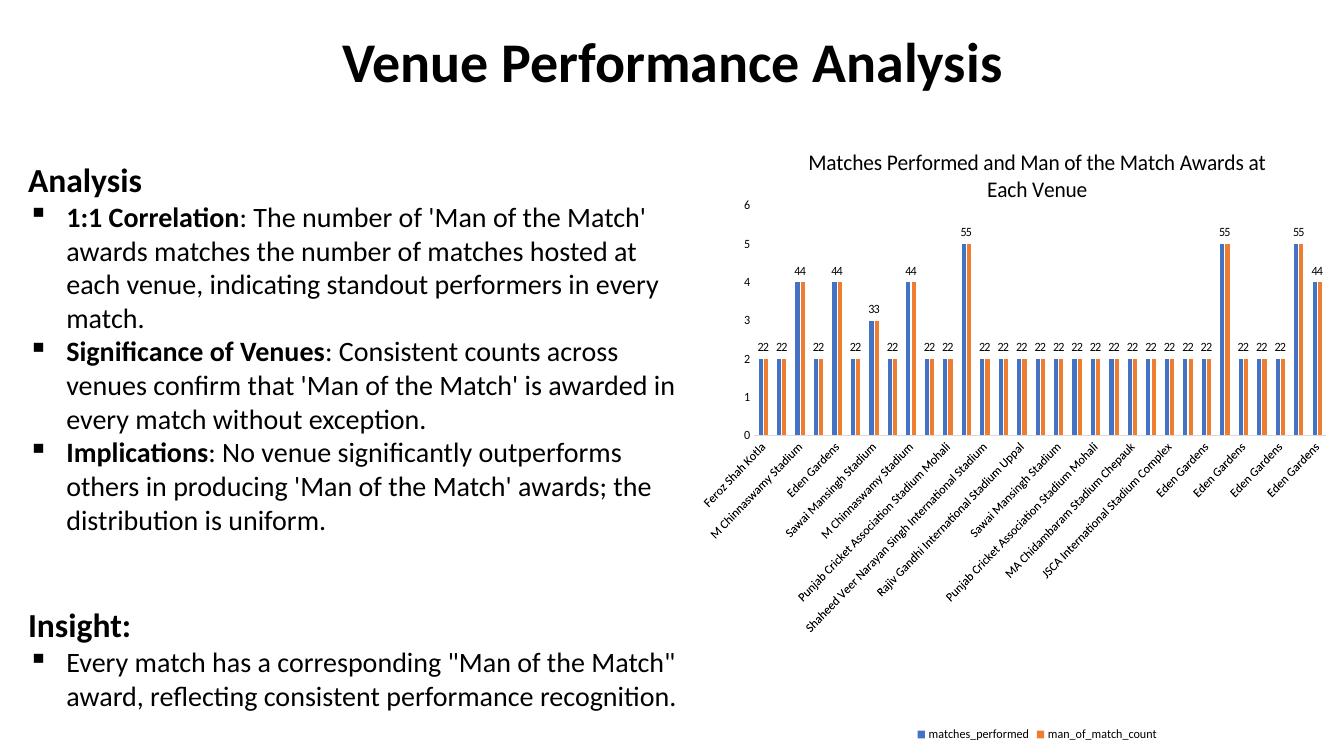
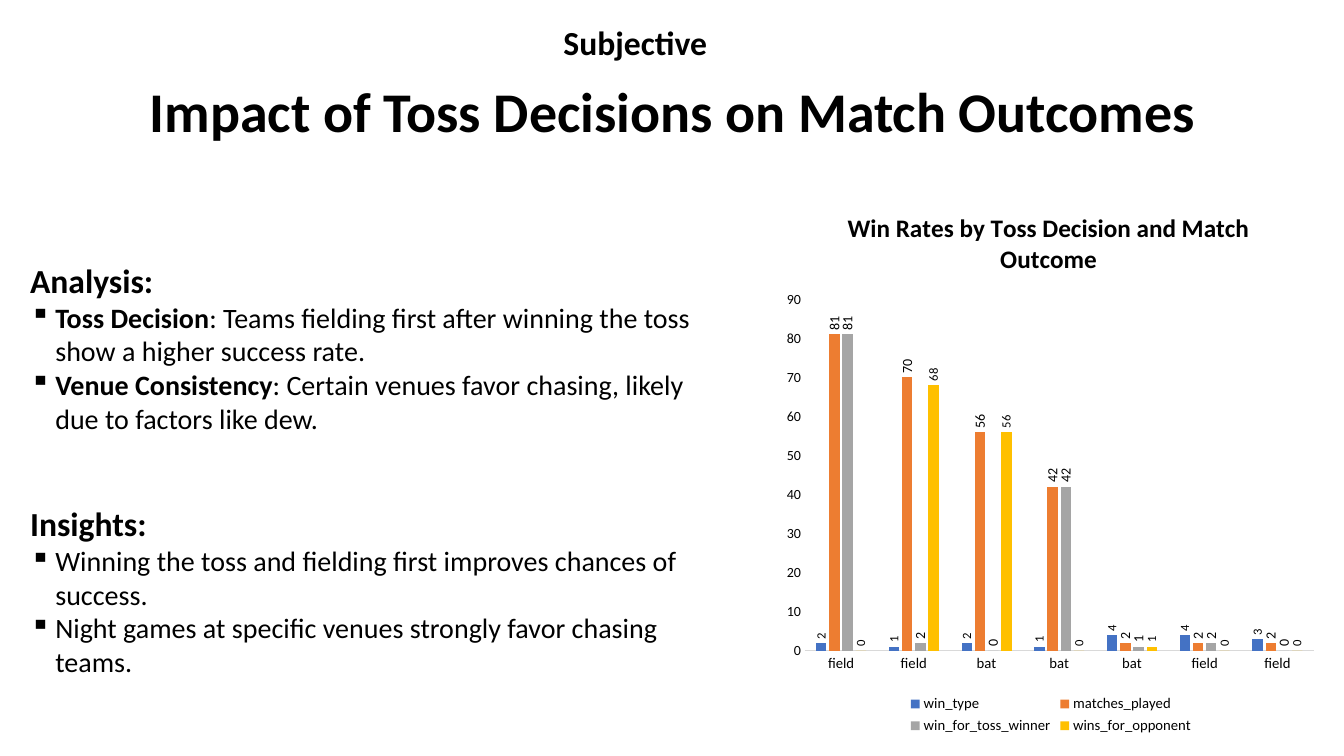
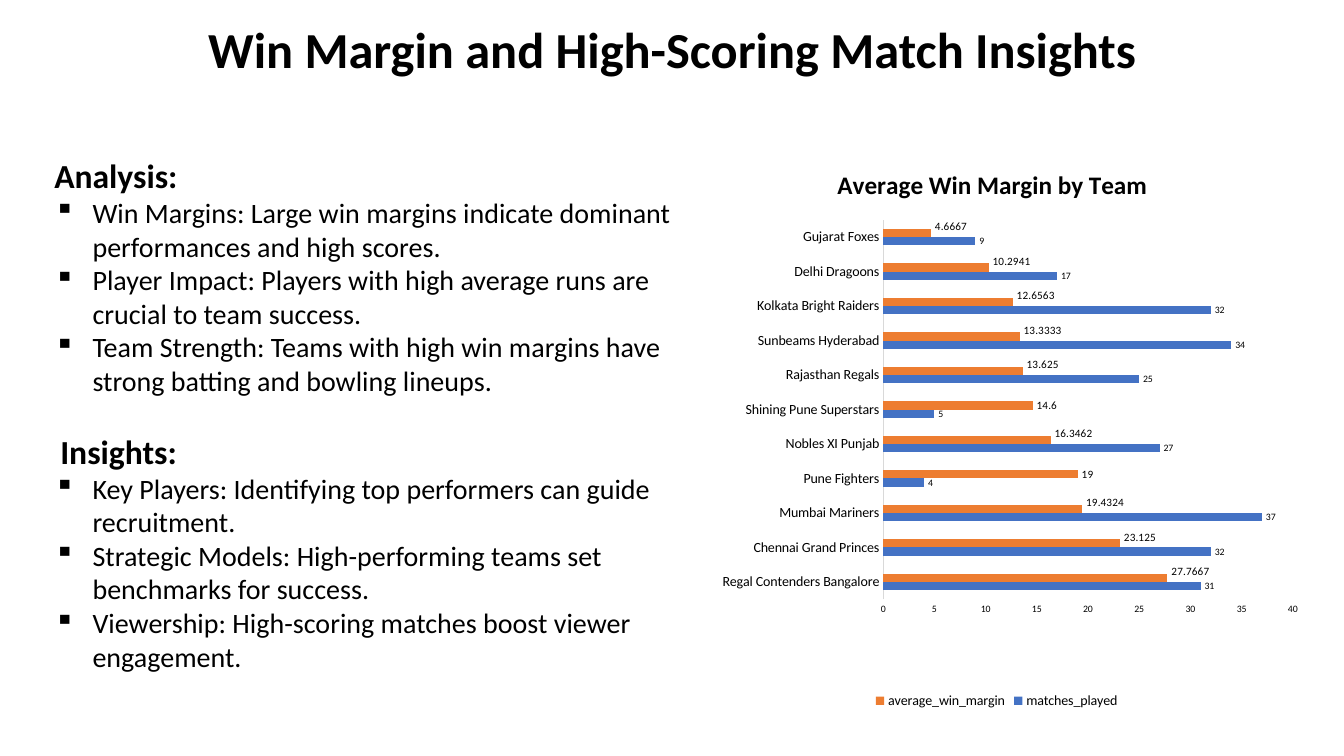
"""Build three cricket analysis slides, each with text on the left and a chart on the right."""
import pptx
import pptx.chart.data
import pptx.dml.color
import pptx.enum.chart
import pptx.enum.text
import pptx.oxml
import pptx.oxml.ns
import pptx.util

Inches, Pt = pptx.util.Inches, pptx.util.Pt
RGB = pptx.dml.color.RGBColor.from_string
Kind = pptx.enum.chart.XL_CHART_TYPE
End = pptx.enum.chart.XL_LABEL_POSITION.OUTSIDE_END
Tick = pptx.enum.chart.XL_TICK_MARK.NONE
Align, Anchor = pptx.enum.text.PP_ALIGN, pptx.enum.text.MSO_ANCHOR

theme = {
    "font": "Calibri", "ink": "000000", "rule": "D9D9D9",
    "blue": "4472C4", "orange": "ED7D31", "gray": "A5A5A5", "gold": "FFC000",
    "head": 24, "body": 20, "chart": 10,
}

venues = {
    "feroz": "Feroz Shah Kotla", "rajiv": "Rajiv Gandhi International Stadium Uppal",
    "chinna": "M Chinnaswamy Stadium", "maha": "Maharashtra Cricket Association Stadium",
    "eden": "Eden Gardens", "motera": "Sardar Patel Stadium Motera",
    "sawai": "Sawai Mansingh Stadium", "chepauk": "MA Chidambaram Stadium Chepauk",
    "wank": "Wankhede Stadium", "mohali": "Punjab Cricket Association Stadium Mohali",
    "veer": "Shaheed Veer Narayan Singh International Stadium",
    "sharjah": "Sharjah Cricket Stadium", "jsca": "JSCA International Stadium Complex",
}
order = (
    "feroz rajiv chinna maha eden motera sawai chepauk chinna wank mohali rajiv veer wank rajiv "
    "sharjah sawai wank mohali feroz chepauk chepauk jsca chepauk eden wank eden chepauk eden "
    "chinna eden"
).split()
counts = [2, 2, 4, 2, 4, 2, 3, 2, 4, 2, 2, 5] + [2] * 13 + [5, 2, 2, 2, 5, 4]

pages = [
    {
        "title": ("Venue Performance Analysis", 40, (0.92, 0.2, 11.5, 0.88)),
        "text": (0.18, 1.53, 6.67, 5.62), "indent": 0.38, "gap": 49,
        "blocks": [
            ("Analysis", 0, [
                ("1:1 Correlation", ": The number of 'Man of the Match' awards matches the number of "
                 "matches hosted at each venue, indicating standout performers in every match."),
                ("Significance of Venues", ": Consistent counts across venues confirm that 'Man of "
                 "the Match' is awarded in every match without exception."),
                ("Implications", ": No venue significantly outperforms others in producing 'Man of "
                 "the Match' awards; the distribution is uniform."),
            ]),
            ("Insight:", 0, [
                ("", "Every match has a corresponding \"Man of the Match\" award, reflecting "
                 "consistent performance recognition."),
            ]),
        ],
        "chart": {
            "kind": Kind.COLUMN_CLUSTERED, "at": (6.95, 1.24, 6.39, 6.16),
            "title": ("Matches Performed and Man of the Match Awards at Each Venue", 16, False),
            "plot": (0.04, 0.13, 0.93, 0.37), "spot": None,
            "sizes": (9, 9, 9), "scale": (6, 1), "lap": -27, "turn": (-45, 0),
            "cats": [venues[key] for key in order],
            "series": [
                ("matches_performed", "blue", 9, counts),
                ("man_of_match_count", "orange", 9, counts),
            ],
        },
    },
    {
        "title": ("Impact of Toss Decisions on Match Outcomes", 40, (0.92, 0.69, 11.5, 0.88)),
        "label": ("Subjective", 24, (3.89, 0.17, 4.82, 0.5)),
        "text": (0.2, 2.53, 7.12, 4.3), "indent": 0.25, "gap": 49,
        "blocks": [
            ("Analysis:", 0, [
                ("Toss Decision", ": Teams fielding first after winning the toss show a higher "
                 "success rate."),
                ("Venue Consistency", ": Certain venues favor chasing, likely due to factors like "
                 "dew."),
            ]),
            ("Insights:", 0, [
                ("", "Winning the toss and fielding first improves chances of success."),
                ("", "Night games at specific venues strongly favor chasing teams."),
            ]),
        ],
        "chart": {
            "kind": Kind.COLUMN_CLUSTERED, "at": (7.71, 1.88, 5.43, 5.45),
            "title": ("Win Rates by Toss Decision and Match Outcome", 18, True),
            "plot": (0.05, 0.2, 0.93, 0.64), "spot": (0.12, 0.03),
            "sizes": (10.5, 10, 10.5), "scale": (90, 10), "lap": -27, "turn": (0, -90),
            "cats": ["field", "field", "bat", "bat", "bat", "field", "field"],
            "series": [
                ("win_type", "blue", 9, [2, 1, 2, 1, 4, 4, 3]),
                ("matches_played", "orange", 10, [81, 70, 56, 42, 2, 2, 2]),
                ("win_for_toss_winner", "gray", 10, [81, 2, 0, 42, 1, 2, 0]),
                ("wins_for_opponent", "gold", 9, [0, 68, 56, 0, 1, 0, 0]),
            ],
        },
    },
    {
        "title": ("Win Margin and High-Scoring Match Insights", 36, (0.92, 0.1, 11.5, 0.83)),
        "text": (0.44, 1.49, 6.67, 5.28), "indent": 0.38, "gap": 24,
        "blocks": [
            ("Analysis:", 0, [
                ("", "Win Margins: Large win margins indicate dominant performances and high "
                 "scores."),
                ("", "Player Impact: Players with high average runs are crucial to team success."),
                ("", "Team Strength: Teams with high win margins have strong batting and bowling "
                 "lineups."),
            ]),
            ("Insights:", 0.06, [
                ("", "Key Players: Identifying top performers can guide recruitment."),
                ("", "Strategic Models: High-performing teams set benchmarks for success."),
                ("", "Viewership: High-scoring matches boost viewer engagement."),
            ]),
        ],
        "chart": {
            "kind": Kind.BAR_CLUSTERED, "at": (6.76, 1.45, 6.25, 5.62),
            "title": ("Average Win Margin by Team", 18, True),
            "plot": (0.32, 0.13, 0.65, 0.67), "spot": (0.24, 0.03),
            "sizes": (10, 7, 10), "scale": (40, 5), "lap": 0, "turn": (0, 0),
            "cats": [
                "Regal Contenders Bangalore", "Chennai Grand Princes", "Mumbai Mariners",
                "Pune Fighters", "Nobles XI Punjab", "Shining Pune Superstars",
                "Rajasthan Regals", "Sunbeams Hyderabad", "Kolkata Bright Raiders",
                "Delhi Dragoons", "Gujarat Foxes",
            ],
            "series": [
                ("matches_played", "blue", 7, [31, 32, 37, 4, 27, 5, 25, 34, 32, 17, 9]),
                ("average_win_margin", "orange", 8, [
                    27.7667, 23.125, 19.4324, 19, 16.3462, 14.6, 13.625, 13.3333, 12.6563,
                    10.2941, 4.6667]),
            ],
            "raised": (1, [0, 1, 2, 4, 6, 7, 8, 9, 10], -0.01),
        },
    },
]


def style(font, size, bold=False):
    """Apply the theme font, ink and the given size."""
    for key, val in {"name": theme["font"], "size": Pt(size), "bold": bold}.items():
        setattr(font, key, val)
    font.color.rgb = RGB(theme["ink"])


def layout(spots, inner=False):
    """Return a manual chart layout element."""
    tags = '<c:layoutTarget val="inner"/>' if inner else ""
    if len(spots) > 1:
        tags += '<c:xMode val="edge"/><c:yMode val="edge"/>'
    names = "xywh" if len(spots) > 1 else "y"
    tags += "".join(f'<c:{name} val="{val}"/>' for name, val in zip(names, spots))
    return pptx.oxml.parse_xml(
        f'<c:layout {pptx.oxml.ns.nsdecls("c")}><c:manualLayout>{tags}</c:manualLayout></c:layout>')


deck = pptx.Presentation()
deck.slide_width, deck.slide_height = Inches(13.33), Inches(7.5)

for page in pages:
    slide = deck.slides.add_slide(deck.slide_layouts[6])

    for key in ("title", "label"):
        if key not in page:
            continue
        words, size, place = page[key]
        frame = slide.shapes.add_textbox(*map(Inches, place)).text_frame
        frame.word_wrap, frame.vertical_anchor = True, Anchor.MIDDLE
        para = frame.paragraphs[0]
        para.alignment, para.line_spacing = Align.CENTER, 0.9 if key == "title" else 1.0
        run = para.add_run()
        run.text = words
        style(run.font, size, True)

    frame = slide.shapes.add_textbox(*map(Inches, page["text"])).text_frame
    frame.word_wrap = True
    for num, (head, nudge, points) in enumerate(page["blocks"]):
        para = frame.add_paragraph() if num else frame.paragraphs[0]
        para.space_before = Pt(page["gap"] if num else 0)
        para._p.get_or_add_pPr().set("marL", str(Inches(nudge)))
        run = para.add_run()
        run.text = head
        style(run.font, theme["head"], True)
        for lead, rest in points:
            para = frame.add_paragraph()
            props = para._p.get_or_add_pPr()
            props.set("marL", str(Inches(page["indent"])))
            props.set("indent", str(-Inches(page["indent"])))
            props.append(pptx.oxml.parse_xml(
                f'<a:buChar {pptx.oxml.ns.nsdecls("a")} char="▪"/>'))
            for words, bold in ((lead, True), (rest, False)):
                if words:
                    run = para.add_run()
                    run.text = words
                    style(run.font, theme["body"], bold)

    info = page["chart"]
    data = pptx.chart.data.CategoryChartData()
    data.categories = info["cats"]
    for name, color, size, vals in info["series"]:
        data.add_series(name, vals)
    chart = slide.shapes.add_chart(info["kind"], *map(Inches, info["at"]), data).chart
    style(chart.font, theme["chart"])

    words, size, bold = info["title"]
    chart.has_title = True
    para = chart.chart_title.text_frame.paragraphs[0]
    run = para.add_run()
    run.text = words
    style(run.font, size, bold)
    root = chart.element
    if info["spot"]:
        for old in root.xpath("c:chart/c:title/c:layout"):
            old.getparent().remove(old)
        root.xpath("c:chart/c:title/c:tx")[0].addnext(layout(info["spot"]))
    for old in root.xpath("c:chart/c:plotArea/c:layout"):
        old.getparent().remove(old)
    root.xpath("c:chart/c:plotArea")[0].insert(0, layout(info["plot"], True))

    chart.has_legend = True
    chart.legend.position = pptx.enum.chart.XL_LEGEND_POSITION.BOTTOM
    chart.legend.include_in_layout = False
    cat, val = chart.category_axis, chart.value_axis
    for part, size in zip((cat.tick_labels, val.tick_labels, chart.legend), info["sizes"]):
        style(part.font, size)
    for axis in (cat, val):
        for key, item in {"major_tick_mark": Tick, "minor_tick_mark": Tick,
                          "has_major_gridlines": False}.items():
            setattr(axis, key, item)
    cat.format.line.color.rgb = RGB(theme["rule"])
    cat.format.line.width = Pt(0.75)
    val.format.line.fill.background()
    val.minimum_scale = 0
    val.maximum_scale, val.major_unit = info["scale"]

    plot = chart.plots[0]
    for key, item in {"gap_width": 219, "overlap": info["lap"],
                      "vary_by_categories": False}.items():
        setattr(plot, key, item)
    for bars, (name, color, size, vals) in zip(plot.series, info["series"]):
        bars.format.fill.solid()
        bars.format.fill.fore_color.rgb = RGB(theme[color])
        bars.invert_if_negative = False
        tags = bars.data_labels
        tags.show_value, tags.position = True, End
        style(tags.font, size)

    if "raised" in info:
        which, spots, lift = info["raised"]
        for spot in spots:
            tag = plot.series[which].points[spot].data_label
            style(tag.font, info["series"][which][2])
            tag.position = End
        for mark in root.xpath("//c:dLbl/c:idx"):
            mark.addnext(layout((lift,)))

    for query, turn in zip(("//c:catAx/c:txPr/a:bodyPr", "//c:dLbls/c:txPr/a:bodyPr"), info["turn"]):
        if turn:
            for body in root.xpath(query):
                body.set("rot", str(turn * 60000))
                body.set("vert", "horz")

deck.save("out.pptx")
